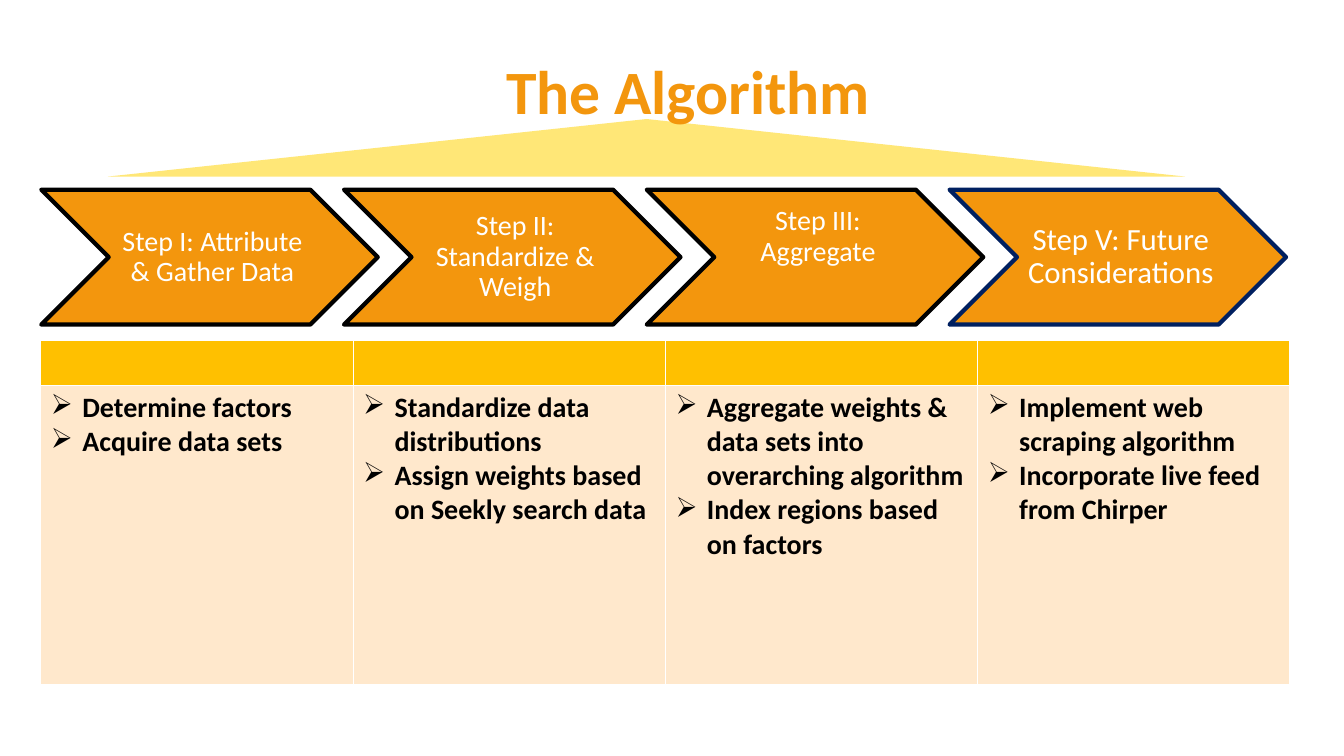
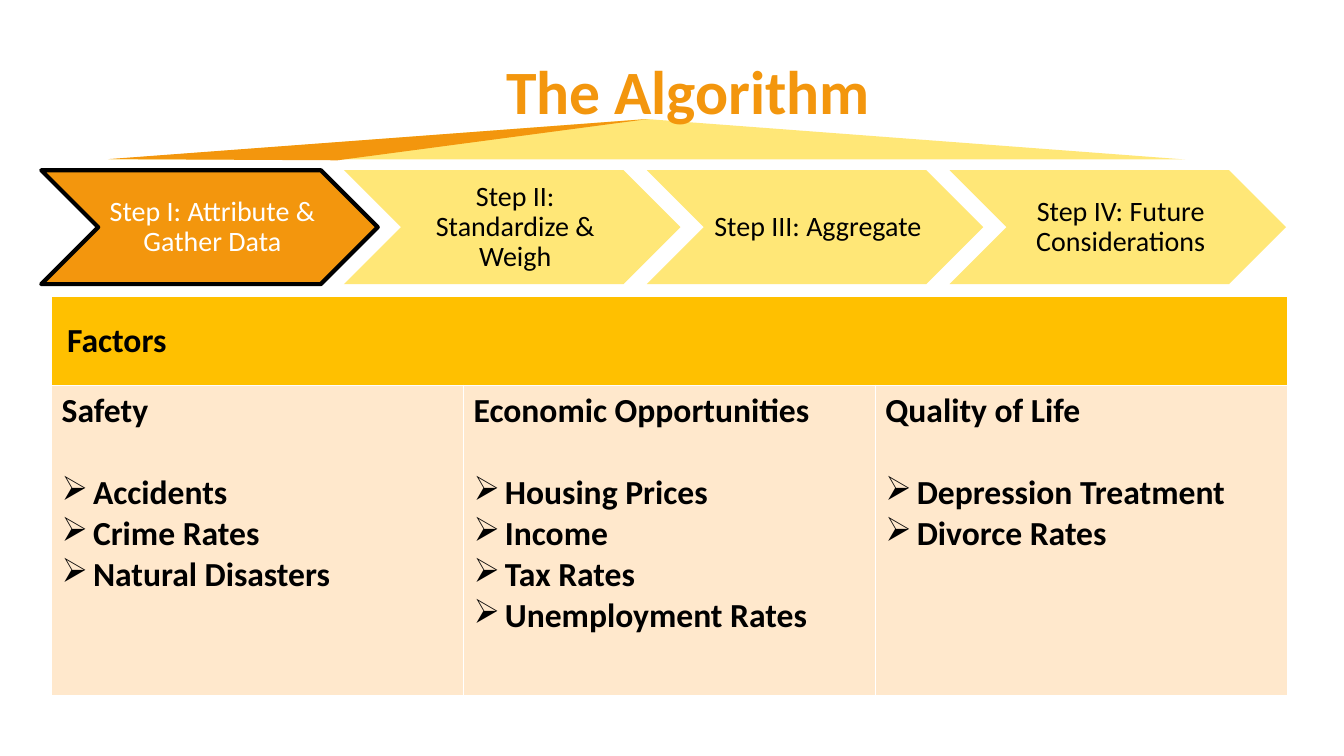
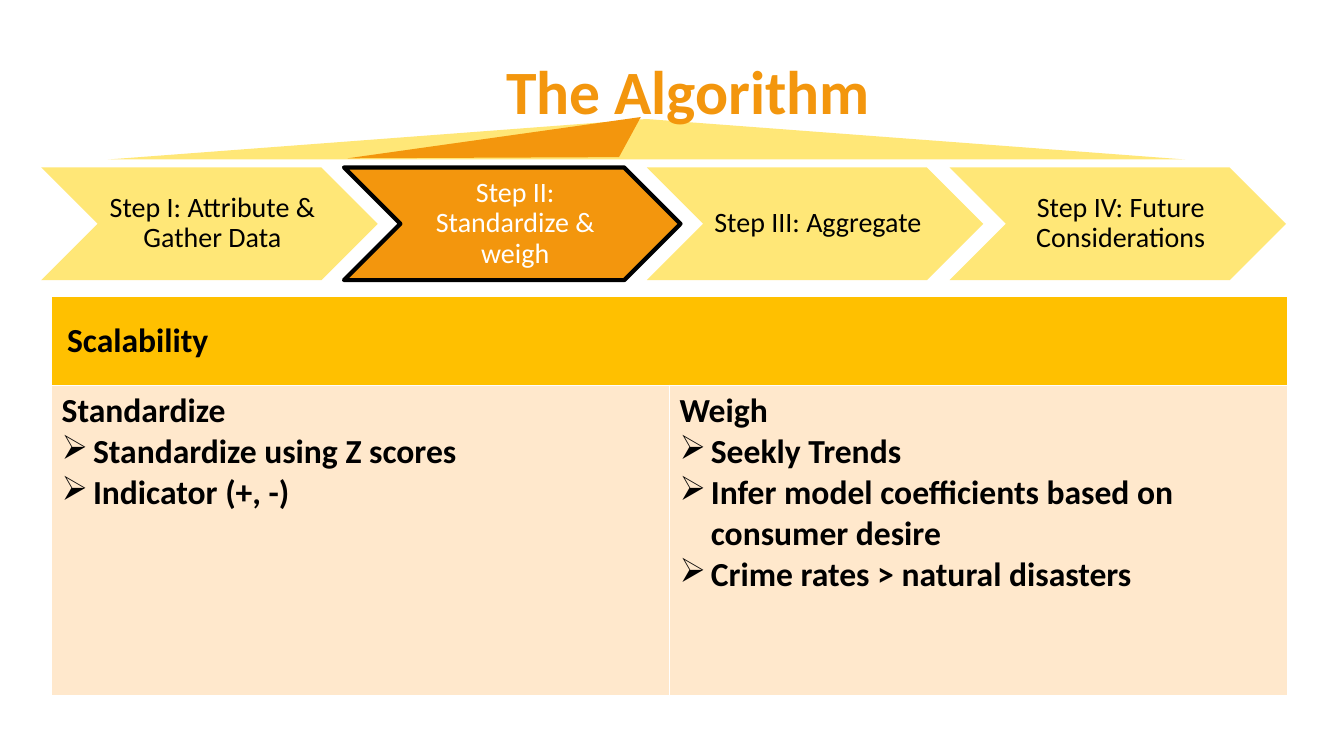
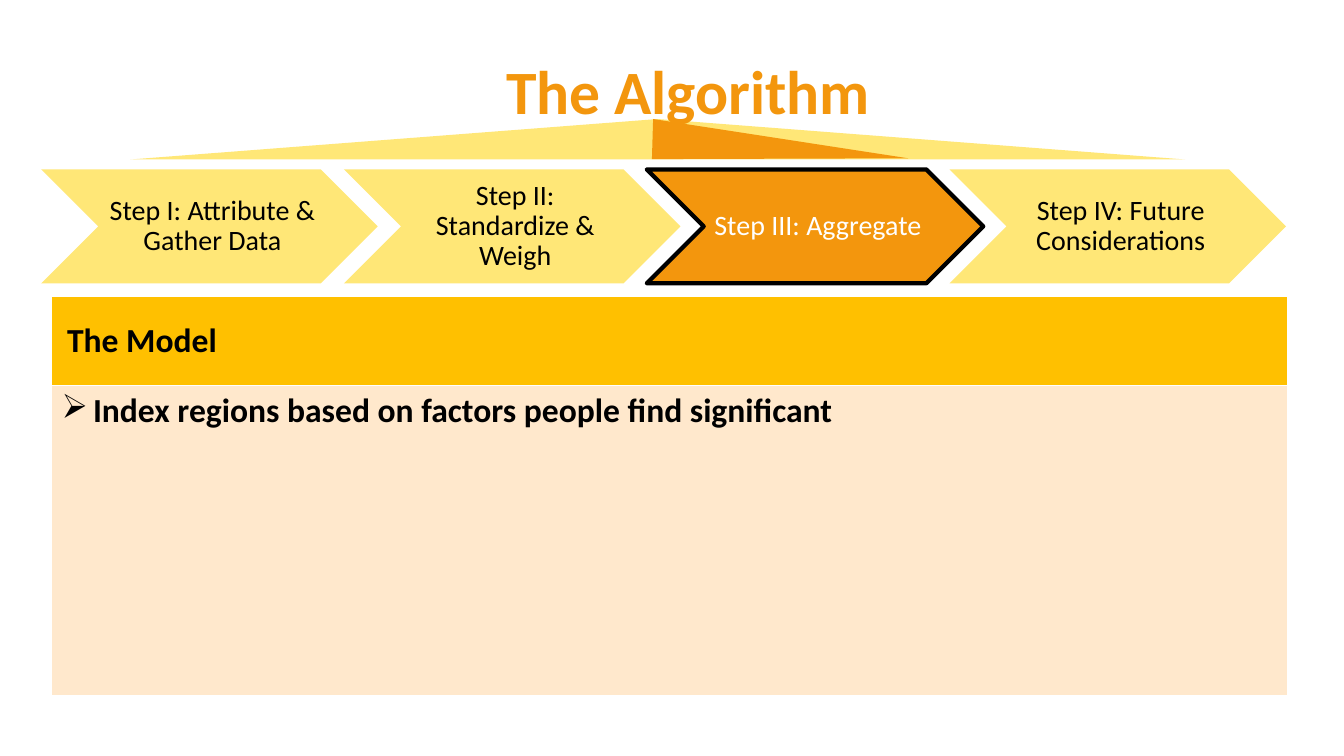
from lxml.etree import SubElement
from pptx import Presentation
from pptx.dml.color import RGBColor
from pptx.enum.shapes import MSO_SHAPE as Preset
from pptx.enum.text import MSO_ANCHOR as Anchor, MSO_AUTO_SIZE as AutoSize, PP_ALIGN as Align
from pptx.oxml.ns import qn
from pptx.util import Cm, Pt

ORANGE, PALE, GOLD, PEACH = "F3960D", "FFE777", "FFC000", "FFE8CC"
BLACK, WHITE, NAVY = "000000", "FFFFFF", "002060"
FONT = "Calibri"
STEP_LEFT, STEP_WIDTH, STEP_PITCH = 1.04, 8.48, 7.63
ROOF_TOP = 3.0
BULLET_INDENT = Cm(0.79)

STEPS = ["Step I: Attribute & Gather Data", "Step II: Standardize & Weigh",
         "Step III: Aggregate", "Step IV: Future Considerations"]

# Lengths in cm; roof is left, width, height; table is left, top, width, row heights.
# Each column is a heading and its bullets.
DETAIL_TABLE = (1.3, 7.47, 31.14, (2.24, 7.83))
SLIDES = [
    {"steps": STEPS[:3] + ["Step V: Future Considerations"], "active": {0, 1, 2, 3},
     "step_top": 4.78, "step_height": 3.4, "roof": (2.72, 27.15, 1.45), "wedge": None,
     "table": (1.03, 8.59, 31.48, (1.12, 7.55)), "size": 20, "heading_gap": 0,
     "header": None,
     "columns": [
         (None, ["Determine factors", "Acquire data sets"]),
         (None, ["Standardize data distributions",
                 "Assign weights based on Seekly search data"]),
         (None, ["Aggregate weights & data sets into overarching algorithm",
                 "Index regions based on factors"]),
         (None, ["Implement web scraping algorithm",
                 "Incorporate live feed from Chirper"])]},
    {"steps": STEPS, "active": {0},
     "step_top": 4.29, "step_height": 2.87, "roof": (2.72, 27.15, 1.02),
     "wedge": [(2.74, 4.01), (16.33, 3.0), (8.51, 4.04)],
     "table": DETAIL_TABLE, "size": 24, "heading_gap": 29.3,
     "header": "Factors",
     "columns": [
         ("Safety", ["Accidents", "Crime Rates", "Natural Disasters"]),
         ("Economic Opportunities",
          ["Housing Prices", "Income", "Tax Rates", "Unemployment Rates"]),
         ("Quality of Life", ["Depression Treatment", "Divorce Rates"])]},
    {"steps": [STEPS[0], "Step II: Standardize & weigh"] + STEPS[2:], "active": {1},
     "step_top": 4.22, "step_height": 2.84, "roof": (2.72, 27.15, 1.02),
     "wedge": [(8.76, 3.99), (16.15, 2.95), (15.6, 3.96)],
     "table": DETAIL_TABLE, "size": 24, "heading_gap": 0,
     "header": "Scalability",
     "columns": [
         ("Standardize", ["Standardize using Z scores", "Indicator (+, -)"]),
         ("Weigh", ["Seekly Trends",
                    "Infer model coefficients based on consumer desire",
                    "Crime rates > natural disasters"])]},
    {"steps": STEPS, "active": {2},
     "step_top": 4.27, "step_height": 2.87, "roof": (3.28, 26.59, 1.02),
     "wedge": [(16.43, 4.01), (16.46, 3.0), (22.89, 3.99)],
     "table": DETAIL_TABLE, "size": 24, "heading_gap": 0,
     "header": "The Model",
     "columns": [(None, ["Index regions based on factors people find significant"])]},
]


def paint(fill, color):
    fill.solid()
    fill.fore_color.rgb = RGBColor.from_string(color)


def write(paragraph, text, size, color, bold=False):
    run = paragraph.add_run()
    run.text = text
    for name, value in {"name": FONT, "size": Pt(size), "bold": bold}.items():
        setattr(run.font, name, value)
    paint(run.font.fill, color)


presentation = Presentation()
presentation.slide_width, presentation.slide_height = Cm(33.87), Cm(19.05)

for content in SLIDES:
    slide = presentation.slides.add_slide(presentation.slide_layouts[5])
    shapes = slide.shapes

    # Step chevrons
    overview = len(content["active"]) == len(STEPS)
    for index, step in enumerate(content["steps"]):
        active = index in content["active"]
        chevron = shapes.add_shape(
            Preset.CHEVRON, Cm(STEP_LEFT + index * STEP_PITCH), Cm(content["step_top"]),
            Cm(STEP_WIDTH), Cm(content["step_height"]))
        chevron.shadow.inherit = False
        paint(chevron.fill, ORANGE if active else PALE)
        last_of_overview = overview and index == 3
        if active:
            paint(chevron.line.fill, NAVY if last_of_overview else BLACK)
            chevron.line.width = Pt(3)
        else:
            chevron.line.fill.background()
        raised = overview and index == 2
        frame = chevron.text_frame
        for name, value in {"margin_left": Cm(0.23), "margin_right": Cm(0.08),
                            "margin_top": Cm(0.08),
                            "margin_bottom": Cm(1.1 if raised else 0.08),
                            "word_wrap": True, "vertical_anchor": Anchor.MIDDLE}.items():
            setattr(frame, name, value)
        paragraph = frame.paragraphs[0]
        paragraph.alignment, paragraph.line_spacing = Align.CENTER, 0.9
        write(paragraph, step, 22 if last_of_overview else 20, WHITE if active else BLACK)

    # Roof under the title
    left, width, height = content["roof"]
    roof = shapes.add_shape(Preset.ISOSCELES_TRIANGLE, Cm(left), Cm(ROOF_TOP),
                            Cm(width), Cm(height))
    roof.shadow.inherit = False
    paint(roof.fill, PALE)
    roof.line.fill.background()

    # Title, brought in front of the roof
    title = shapes.title
    for name, value in {"left": 2.74, "top": 1.45, "width": 29.21, "height": 1.88}.items():
        setattr(title, name, Cm(value))
    title.text_frame.auto_size = AutoSize.NONE
    title.text_frame.vertical_anchor = Anchor.MIDDLE
    paragraph = title.text_frame.paragraphs[0]
    paragraph.alignment, paragraph.line_spacing = Align.CENTER, 0.9
    write(paragraph, "The Algorithm", 44, ORANGE, bold=True)
    shapes.element.append(title.element)

    # Wedge from the title to the active step
    if content["wedge"]:
        start, *others = [(Cm(x), Cm(y)) for x, y in content["wedge"]]
        builder = shapes.build_freeform(*start)
        builder.add_line_segments(others, close=True)
        wedge = builder.convert_to_shape()
        wedge.shadow.inherit = False
        paint(wedge.fill, ORANGE)
        wedge.line.fill.background()

    # Table
    left, top, width, row_heights = content["table"]
    columns = content["columns"]
    table = shapes.add_table(2, len(columns), Cm(left), Cm(top), Cm(width),
                             Cm(sum(row_heights))).table
    for row, height, color in zip(table.rows, row_heights, (GOLD, PEACH)):
        row.height = Cm(height)
        for cell in row.cells:
            properties = cell._tc.get_or_add_tcPr()
            for side in ("a:lnL", "a:lnR", "a:lnT", "a:lnB"):
                border = SubElement(properties, qn(side), w=str(Pt(1)))
                SubElement(SubElement(border, qn("a:solidFill")), qn("a:srgbClr"), val=WHITE)
            paint(cell.fill, color)

    if content["header"]:
        header = table.cell(0, 0)
        if len(columns) > 1:
            header.merge(table.cell(0, len(columns) - 1))
        header.vertical_anchor = Anchor.MIDDLE
        header.margin_left = Cm(0.39)
        write(header.text_frame.paragraphs[0], content["header"], 24, BLACK, bold=True)

    for index, (heading, bullets) in enumerate(columns):
        frame = table.cell(1, index).text_frame
        lines = ([heading] if heading else []) + bullets
        for number, line in enumerate(lines):
            paragraph = frame.add_paragraph() if number else frame.paragraphs[0]
            write(paragraph, line, content["size"], BLACK, bold=True)
            if heading and number == 0:
                paragraph.space_after = Pt(content["heading_gap"])
            else:
                properties = paragraph._p.get_or_add_pPr()
                properties.set("marL", str(BULLET_INDENT))
                properties.set("indent", str(-BULLET_INDENT))
                SubElement(properties, qn("a:buChar"), char="➢")

presentation.save("out.pptx")
